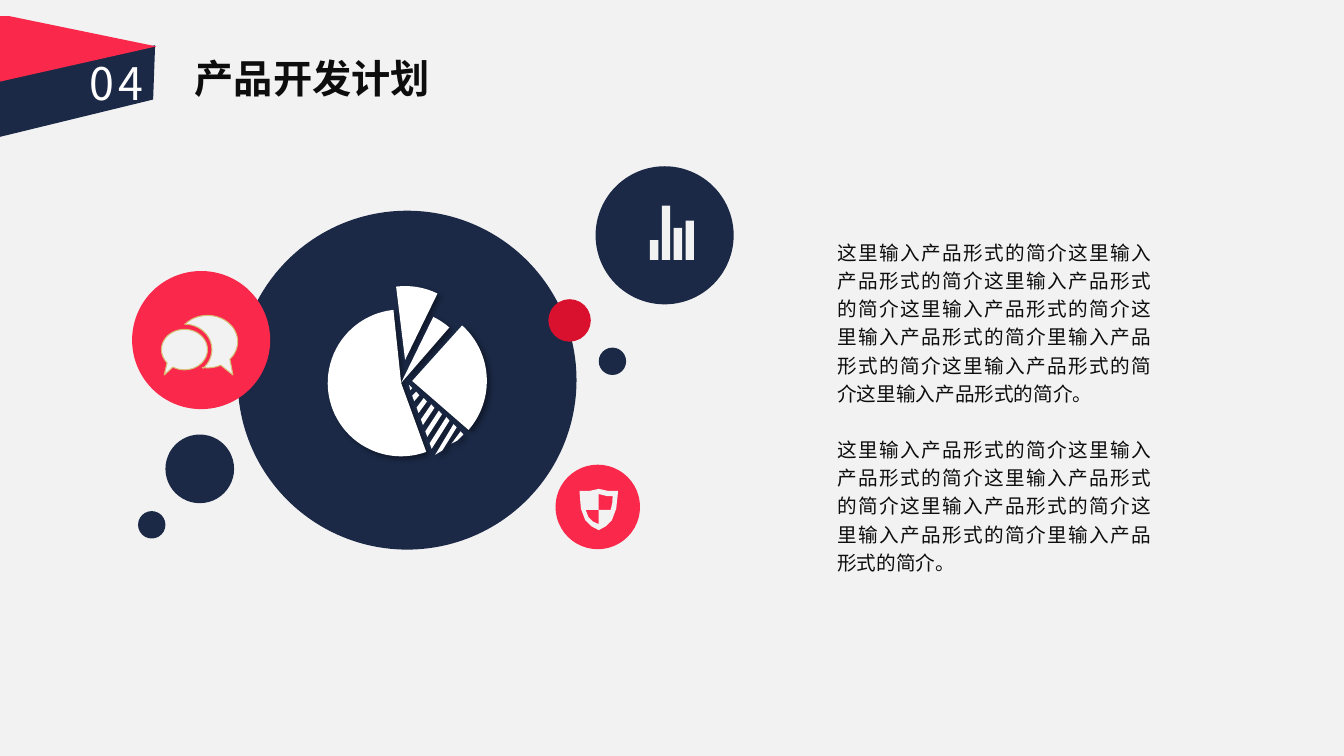
from dataclasses import dataclass
from math import cos, radians, sin

from lxml.etree import SubElement
from pptx import Presentation
from pptx.dml.color import RGBColor
from pptx.enum.shapes import MSO_SHAPE
from pptx.enum.text import MSO_AUTO_SIZE, PP_ALIGN
from pptx.oxml.ns import qn
from pptx.util import Cm, Pt


@dataclass(frozen=True)
class Theme:
    font: str = "Noto Sans CJK SC"
    paper: str = "F2F2F2"
    ink: str = "0D0D0D"
    white: str = "FFFFFF"
    navy: str = "1B2946"
    red: str = "FA284B"
    crimson: str = "D9112E"
    gold: str = "D8BC75"
    shadow: str = "000000"
    number_size: int = 32
    title_size: int = 28
    body_size: int = 14


def rgb(color):
    return RGBColor.from_string(color)


def apply(target, values):
    for name, value in values.items():
        setattr(target, name, value)


def arc(cx, cy, rx, ry, start, end, steps=48):
    """Points on an ellipse; degrees run clockwise from the right."""
    angles = [radians(start + (end - start) * i / steps) for i in range(steps + 1)]
    return [(cx + rx * cos(a), cy + ry * sin(a)) for a in angles]


def wedge(cx, cy, radius, start, end):
    return [(cx, cy)] + arc(cx, cy, radius, radius, start, end)


class Deck:
    def __init__(self, theme):
        self.theme = theme
        self.prs = Presentation()
        apply(self.prs, {"slide_width": Cm(33.87), "slide_height": Cm(19.05)})
        self.s = self.prs.slides.add_slide(self.prs.slide_layouts[6])
        fill = self.s.background.fill
        fill.solid()
        fill.fore_color.rgb = rgb(theme.paper)

    def paint(self, sp, color, line=None):
        sp.shadow.inherit = False
        sp.fill.solid()
        sp.fill.fore_color.rgb = rgb(color)
        if line:
            sp.line.color.rgb = rgb(line)
            sp.line.width = Pt(0.75)
        else:
            sp.line.fill.background()
        return sp

    def circle(self, left, top, size, color):
        box = [Cm(v) for v in (left, top, size, size)]
        return self.paint(self.s.shapes.add_shape(MSO_SHAPE.OVAL, *box), color)

    def outline(self, contours, color, line=None):
        contours = [[(Cm(x), Cm(y)) for x, y in c] for c in contours]
        builder = self.s.shapes.build_freeform(*contours[0][0])
        for i, (first, *rest) in enumerate(contours):
            if i:
                builder.move_to(*first)
            builder.add_line_segments(rest, close=True)
        return self.paint(builder.convert_to_shape(), color, line)

    def drop_shadow(self, sp, blur, dist, angle, alpha):
        effects = sp._element.spPr.find(qn("a:effectLst"))
        shadow = SubElement(effects, qn("a:outerShdw"), blurRad=str(Pt(blur)),
                            dist=str(Pt(dist)), dir=str(angle * 60000),
                            algn="tl", rotWithShape="0")
        clr = SubElement(shadow, qn("a:srgbClr"), val=self.theme.shadow)
        SubElement(clr, qn("a:alpha"), val=str(alpha * 1000))

    def text(self, box, paragraphs, color, font, para=None, spacing=None):
        tf = self.s.shapes.add_textbox(*[Cm(v) for v in box]).text_frame
        apply(tf, {"word_wrap": True, "auto_size": MSO_AUTO_SIZE.SHAPE_TO_FIT_TEXT})
        for i, content in enumerate(paragraphs):
            p = tf.add_paragraph() if i else tf.paragraphs[0]
            apply(p, para or {})
            if i:
                p.space_before = Pt(20)
            r = p.add_run()
            r.text = content
            apply(r.font, {"name": self.theme.font, **font})
            r.font.color.rgb = rgb(color)
            rPr = r._r.get_or_add_rPr()
            SubElement(rPr, qn("a:ea"), typeface=self.theme.font)
            if spacing:
                rPr.set("spc", str(spacing * 100))


def main():
    t = Theme()
    deck = Deck(t)

    # Title
    deck.text((2.97, 1.24, 9.8, 1.45), ["产品开发计划"], t.ink,
              {"size": Pt(t.title_size), "bold": True}, {"alignment": PP_ALIGN.CENTER})

    # Circles: left, top, diameter, colour
    for circle in [
        (5.99, 5.31, 8.54, t.navy),
        (15.09, 8.76, 0.69, t.navy),
        (3.33, 6.83, 3.48, t.red),
        (4.17, 10.95, 1.73, t.navy),
        (15.01, 4.19, 3.48, t.navy),
        (13.82, 7.54, 1.07, t.crimson),
        (3.48, 12.88, 0.69, t.navy),
        (14, 11.71, 2.13, t.red),
    ]:
        deck.circle(*circle)

    # Speech bubbles
    front = arc(4.65, 8.81, 0.58, 0.51, 139, 480) + [(4.14, 9.45)]
    back = (arc(5.23, 8.61, 0.76, 0.66, 222, 402) + [(5.87, 9.45)]
            + arc(5.23, 8.61, 0.76, 0.66, 64, 100)
            + arc(4.65, 8.81, 0.69, 0.64, 47, -90))
    deck.outline([front, back], t.paper, t.gold)

    # Shield with two open quarters
    rim = [(14.61, 12.37), (14.86, 12.37), (15.09, 12.32), (15.32, 12.37),
           (15.57, 12.37), (15.57, 12.45), (15.53, 12.82), (15.42, 13.11),
           (15.27, 13.26), (15.09, 13.36), (14.9, 13.26), (14.75, 13.11),
           (14.64, 12.82), (14.61, 12.45)]
    upper_right = [(15.09, 12.85), (15.39, 12.85), (15.43, 12.68), (15.44, 12.5),
                   (15.29, 12.5), (15.09, 12.45)]
    lower_left = [(15.09, 13.21), (15.09, 12.85), (14.76, 12.85), (14.83, 13.03),
                  (14.94, 13.14)]
    deck.outline([rim, upper_right, lower_left], t.paper)

    # Body text
    deck.text((20.85, 5.82, 8.41, 8.86), [
        "这里输入产品形式的简介这里输入产品形式的简介这里输入产品形式的简介"
        "这里输入产品形式的简介这里输入产品形式的简介里输入产品形式的简介"
        "这里输入产品形式的简介这里输入产品形式的简介。",
        "这里输入产品形式的简介这里输入产品形式的简介这里输入产品形式的简介"
        "这里输入产品形式的简介这里输入产品形式的简介里输入产品形式的简介。",
    ], t.ink, {"size": Pt(t.body_size)},
        {"alignment": PP_ALIGN.JUSTIFY, "line_spacing": 1.2})

    # Exploded pie with a striped slice
    slices = [wedge(10.39, 9.6, 1.88, -48, 41), wedge(10.11, 9.65, 1.85, 70, 264),
              wedge(10.11, 9.65, 1.85, -64, -49), wedge(10.21, 9.07, 1.86, -97, -64)]
    stripes = [[(10.34, 9.83), (10.31, 9.7), (10.39, 9.78)],
               [(11.15, 11.35), (11.51, 10.77), (11.43, 10.69), (10.97, 11.46)],
               [(11.68, 10.95), (11.53, 11.1), (11.38, 11.18), (11.61, 10.87)]]
    for i in range(5):
        x, y = 10.57 + 0.19 * i, 9.96 + 0.16 * i
        u, v = 10.39 + 0.11 * i, 9.97 + 0.3 * i
        stripes.append([(x, y), (x - 0.08, y - 0.09), (u, v), (u + 0.05, v + 0.14)])
    pie = deck.outline(slices + stripes, t.white)
    deck.drop_shadow(pie, blur=4, dist=3, angle=45, alpha=40)

    # Bar icon
    bars = []
    for i, top in enumerate((6.05, 5.18, 5.74, 5.56)):
        left = 16.38 + 0.3 * i
        right, bottom = left + 0.21, 6.55
        bars.append([(left, top), (right, top), (right, bottom), (left, bottom)])
    deck.outline(bars, t.paper)

    # Numbered ribbon
    deck.outline([[(3.91, 1.14), (3.86, 2.51), (-1.07, 3.71), (-0.38, 2.13)]], t.navy)
    deck.outline([[(0.25, 0.41), (3.94, 1.17), (-0.1, 2.08), (-0.74, 0.41)]], t.red)
    deck.text((2.01, 1.27, 3.18, 1.63), ["04"], t.white,
              {"size": Pt(t.number_size)}, spacing=3)

    deck.prs.save("out.pptx")


if __name__ == "__main__":
    main()
